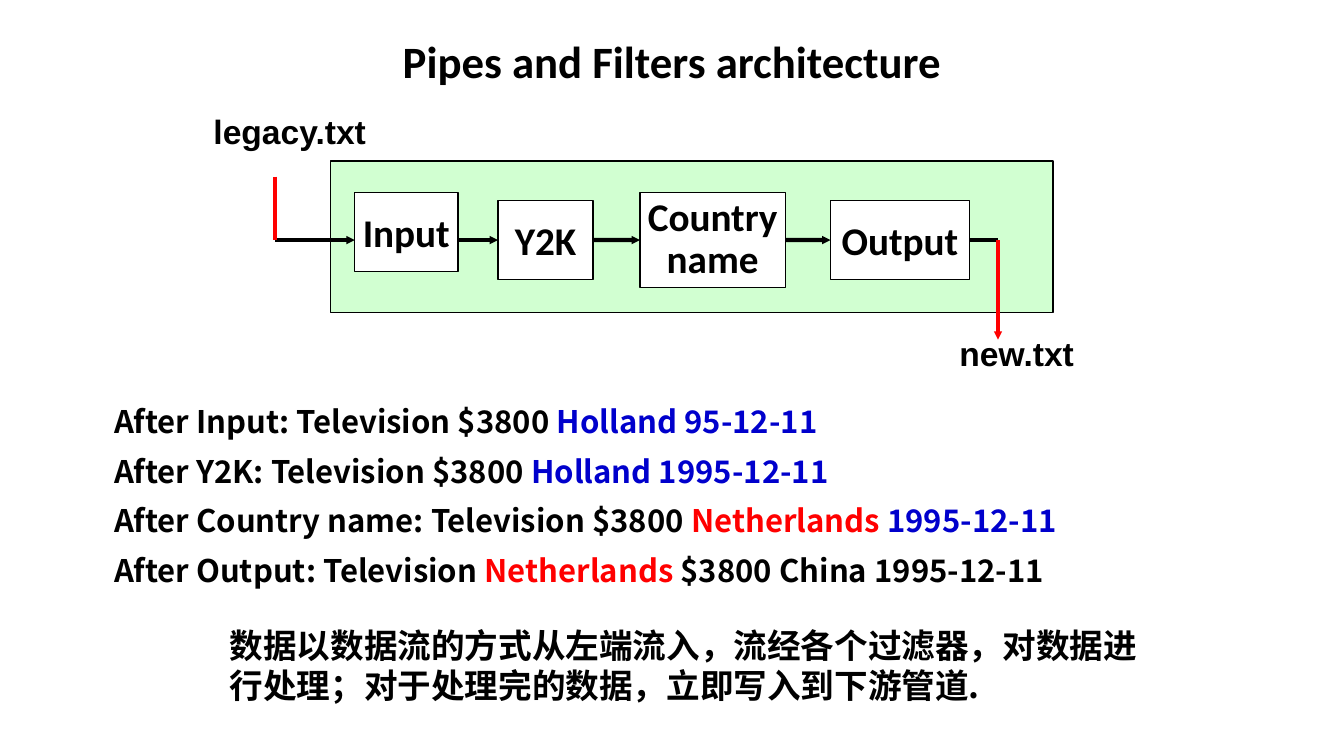
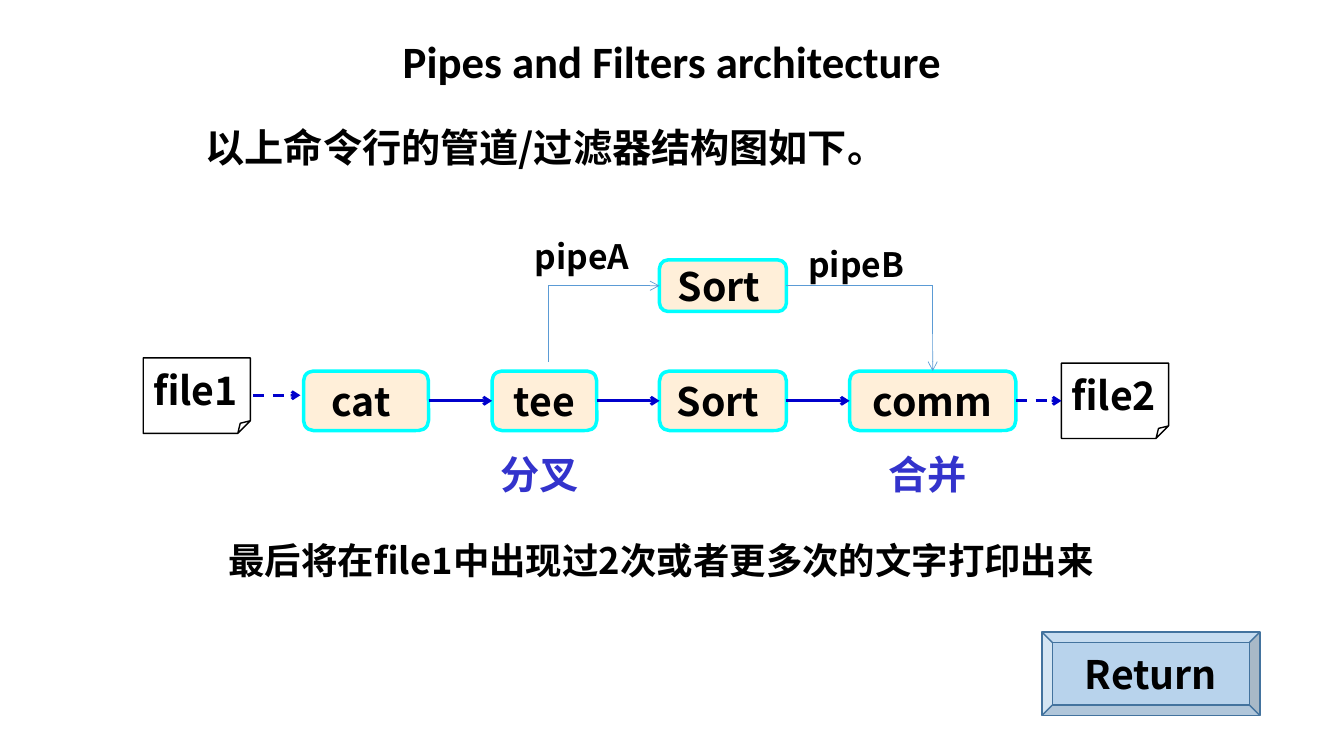
from lxml import etree
from pptx import Presentation
from pptx.dml.color import RGBColor
from pptx.enum.dml import MSO_LINE
from pptx.enum.shapes import MSO_CONNECTOR, MSO_SHAPE
from pptx.enum.text import MSO_ANCHOR, MSO_AUTO_SIZE, PP_ALIGN
from pptx.oxml.ns import qn
from pptx.util import Cm, Pt

RECT, ROUNDED = MSO_SHAPE.RECTANGLE, MSO_SHAPE.ROUNDED_RECTANGLE
FOLDED, BEVEL = MSO_SHAPE.FOLDED_CORNER, MSO_SHAPE.BEVEL
TOP, MIDDLE = MSO_ANCHOR.TOP, MSO_ANCHOR.MIDDLE
LEFT, CENTER = PP_ALIGN.LEFT, PP_ALIGN.CENTER
SIDE_TOP, SIDE_LEFT, SIDE_RIGHT = 0, 1, 3

BLACK, WHITE, RED, BLUE = "000000", "FFFFFF", "FF0000", "0000CC"
GREEN, ORANGE, CYAN = "00FF00", "FF9900", "00FFFF"
INDIGO, PIPE_BLUE, EDGE_BLUE = "3333CC", "5B9BD5", "43739E"
CJK, LATIN, LABEL = "Noto Sans CJK SC", "Calibri", "Arial"


def style(shape, text, size, font=CJK, color=BLACK, align=LEFT, anchor=TOP,
          wrap=True, spacing=1.0, before=0, hang=None,
          fill=None, opacity=100, line=None, width=1):
    """Fill a shape with bold text; text None formats the runs already there."""
    frame = shape.text_frame
    if text is not None:
        frame.text = text
    frame.auto_size = MSO_AUTO_SIZE.NONE
    frame.word_wrap, frame.vertical_anchor = wrap, anchor
    for number, paragraph in enumerate(frame.paragraphs):
        if hang is not None:
            properties = paragraph._p.get_or_add_pPr()
            properties.set("marL", str(Cm(hang)))
            properties.set("indent", str(-Cm(hang)))
            etree.SubElement(properties, qn("a:buNone"))
        paragraph.alignment = align
        paragraph.line_spacing = spacing
        paragraph.space_before = Pt(before if number else 0)
        for run in paragraph.runs:
            run.font.size, run.font.bold, run.font.name = Pt(size), True, font
            run.font.color.rgb = RGBColor.from_string(color)
            latin = run._r.rPr.find(qn("a:latin"))
            latin.addnext(latin.makeelement(qn("a:ea"), {"typeface": CJK}))
    if line:
        shape.shadow.inherit = False
        shape.line.color.rgb = RGBColor.from_string(line)
        shape.line.width = Pt(width)
        if fill:
            shape.fill.solid()
            shape.fill.fore_color.rgb = RGBColor.from_string(fill)
            if opacity < 100:
                fill_color = shape._element.spPr.find(qn("a:solidFill"))[0]
                etree.SubElement(fill_color, qn("a:alpha"), val=str(opacity * 1000))
        else:
            shape.fill.background()


def link(slide, start, end, color, width, head=None, dashed=False, joins=()):
    """Draw a line between two points; joins holds (is_start, shape, side)."""
    line = slide.shapes.add_connector(
        MSO_CONNECTOR.STRAIGHT, *[Cm(value) for value in (*start, *end)])
    for is_start, shape, side in joins:
        (line.begin_connect if is_start else line.end_connect)(shape, side)
    line.line.color.rgb = RGBColor.from_string(color)
    line.line.width = Pt(width)
    if dashed:
        line.line.dash_style = MSO_LINE.DASH
    if head:
        head_size = "sm" if head == "triangle" else "med"
        etree.SubElement(line.line._get_or_add_ln(), qn("a:tailEnd"),
                         type=head, w=head_size, len=head_size)
    etree.SubElement(line._element.spPr, qn("a:effectLst"))


prs = Presentation()
prs.slide_width, prs.slide_height = Cm(33.87), Cm(19.05)

# Both slides: title and body placeholder
slides, bodies = [], []
for body_box in ((2.62, 9.93, 27.3, 5), (4.93, 3.12, 17.88, 1.8)):
    slide = prs.slides.add_slide(prs.slide_layouts[1])
    title, body = slide.shapes.title, slide.placeholders[1]
    for holder, box in ((title, (5.51, 0.72, 22.86, 1.4)), (body, body_box)):
        holder.left, holder.top, holder.width, holder.height = map(Cm, box)
    style(title, "Pipes and Filters architecture", 32, LATIN, align=CENTER)
    slides.append(slide)
    bodies.append(body)
example, command = slides

# Slide 1: the record after each filter
records = [
    [("After Input: Television $3800 ", BLACK), ("Holland 95-12-11", BLUE)],
    [("After Y2K: Television $3800 ", BLACK), ("Holland 1995-12-11", BLUE)],
    [("After Country name: Television $3800 ", BLACK), ("Netherlands ", RED),
     ("1995-12-11", BLUE)],
    [("After Output: Television ", BLACK), ("Netherlands ", RED),
     ("$3800 China 1995-12-11", BLACK)],
]
record_frame = bodies[0].text_frame
record_frame.text = "\n".join("" for _ in records)
for paragraph, record in zip(record_frame.paragraphs, records):
    for words, _ in record:
        paragraph.add_run().text = words
style(bodies[0], None, 22.2, spacing=1.1, before=6, hang=0.64)
for paragraph, record in zip(record_frame.paragraphs, records):
    for run, (_, color) in zip(paragraph.runs, record):
        run.font.color.rgb = RGBColor.from_string(color)

for words, box, size, font in (
    ("legacy.txt", (5.13, 2.67, 4.8, 1.27), 24, LABEL),
    ("new.txt", (23.93, 8.26, 3.61, 1.27), 24, LABEL),
    ("数据以数据流的方式从左端流入，流经各个过滤器，对数据进行处理；"
     "对于处理完的数据，立即写入到下游管道.", (5.54, 15.62, 23.39, 2.31), 24, CJK),
):
    style(example.shapes.add_textbox(*map(Cm, box)), words, size, font)

# Slide 1: pipeline
system = example.shapes.add_shape(RECT, *map(Cm, (8.33, 4.06, 18.21, 3.81)))
style(system, "", 28, fill=GREEN, opacity=18, line=BLACK)
filters = []
for words, box, spacing in (
    ("Input", (8.94, 4.85, 2.6, 2), 1),
    ("Y2K", (12.55, 5.05, 2.4, 2), 1),
    ("Country\nname", (16.13, 4.85, 3.66, 2.4), 0.9),
    ("Output", (20.93, 5.05, 3.5, 2), 1),
):
    stage = example.shapes.add_shape(RECT, *map(Cm, box))
    style(stage, words, 28, LATIN, align=CENTER, anchor=MIDDLE, wrap=False,
          spacing=spacing, fill=WHITE, line=BLACK)
    filters.append(stage)
_, y2k, country, output = filters

FLOW_Y, INLET_X, OUTLET_X = 6.05, 6.93, 25.15
for start, end, color, width, head, joins in (
    ((INLET_X, FLOW_Y), (8.94, FLOW_Y), BLACK, 3, "triangle", ()),
    ((11.54, FLOW_Y), (12.55, FLOW_Y), BLACK, 3, "triangle", [(False, y2k, SIDE_LEFT)]),
    ((14.95, FLOW_Y), (16.13, FLOW_Y), BLACK, 3, "triangle",
     [(True, y2k, SIDE_RIGHT), (False, country, SIDE_LEFT)]),
    ((19.79, FLOW_Y), (20.93, FLOW_Y), BLACK, 3, "triangle",
     [(True, country, SIDE_RIGHT), (False, output, SIDE_LEFT)]),
    ((24.43, FLOW_Y), (OUTLET_X, FLOW_Y), BLACK, 3, None, [(True, output, SIDE_RIGHT)]),
    ((INLET_X, 4.45), (INLET_X, FLOW_Y), RED, 3.5, None, ()),
    ((OUTLET_X, FLOW_Y), (OUTLET_X, 8.56), RED, 3, "triangle", ()),
):
    link(example, start, end, color, width, head, joins=joins)

# Slide 2: texts
style(bodies[1], "以上命令行的管道/过滤器结构图如下。", 28, spacing=0.9, hang=0.64)
for words, box, size, color, align, hang in (
    ("分叉", (11.89, 11.23, 3.4, 1.45), 28, INDIGO, CENTER, None),
    ("合并", (21.67, 11.23, 3.4, 1.45), 28, INDIGO, CENTER, None),
    ("pipeA", (13.23, 5.82, 3.3, 1.27), 24, BLACK, LEFT, None),
    ("pipeB", (20.12, 6.02, 3.38, 1.27), 24, BLACK, LEFT, None),
    ("最后将在file1中出现过2次或者更多次的文字打印出来",
     (5.51, 13.44, 22.48, 2.4), 26, BLACK, LEFT, 1.7),
):
    style(command.shapes.add_textbox(*map(Cm, box)), words, size,
          color=color, align=align, hang=hang)

# Slide 2: commands, files and button
NODE_TOP, NODE_HEIGHT = 9.35, 1.5
commands = []
for words, left, top, width, height, right_inset in (
    ("cat", 7.65, NODE_TOP, 3.15, NODE_HEIGHT, 0.25),
    ("tee", 12.4, NODE_TOP, 2.64, NODE_HEIGHT, 0),
    ("Sort", 16.62, NODE_TOP, 3.2, NODE_HEIGHT, 0.25),
    ("comm", 21.41, NODE_TOP, 4.19, NODE_HEIGHT, 0),
    ("Sort", 16.62, 6.55, 3.2, 1.3, 0.2),
):
    node = command.shapes.add_shape(ROUNDED, Cm(left), Cm(top), Cm(width), Cm(height))
    style(node, words, 28, align=CENTER, anchor=MIDDLE, wrap=False,
          fill=ORANGE, opacity=15, line=CYAN, width=2.5)
    frame = node.text_frame
    frame.margin_left = frame.margin_top = frame.margin_bottom = 0
    frame.margin_right = Cm(right_inset)
    commands.append(node)
cat, tee, sort, comm, branch_sort = commands

files = []
for words, left, top in (("file1", 3.61, 9.02), ("file2", 26.75, 9.15)):
    sheet = command.shapes.add_shape(FOLDED, Cm(left), Cm(top), Cm(2.7), Cm(1.9))
    style(sheet, words, 28, wrap=False, line=BLACK)
    sheet.text_frame.margin_top = Cm(0.2)
    files.append(sheet)

button = command.shapes.add_shape(BEVEL, *map(Cm, (26.26, 15.93, 5.49, 2.1)))
style(button, "Return", 28, align=CENTER, anchor=MIDDLE,
      fill=PIPE_BLUE, opacity=43, line=EDGE_BLUE)

# Slide 2: main flow, then the branch through pipeA and pipeB
link(command, (6.38, 9.96), (7.57, 9.96), BLUE, 2, "arrow", dashed=True)
chain = [cat, tee, sort, comm, files[1]]
for source, target in zip(chain, chain[1:]):
    link(command, (0, 0), (0, 0), BLUE, 2, "arrow", dashed=target is files[1],
         joins=[(True, source, SIDE_RIGHT), (False, target, SIDE_LEFT)])

FORK_X, MERGE_X, BRANCH_Y = 13.82, 23.5, 7.2
for start, end, head, joins in (
    ((FORK_X, 9.12), (FORK_X, BRANCH_Y), None, ()),
    ((FORK_X, BRANCH_Y), (16.62, BRANCH_Y), "arrow", [(False, branch_sort, SIDE_LEFT)]),
    ((19.82, BRANCH_Y), (MERGE_X, BRANCH_Y), None, [(True, branch_sort, SIDE_RIGHT)]),
    ((MERGE_X, BRANCH_Y), (MERGE_X, NODE_TOP), "arrow", [(False, comm, SIDE_TOP)]),
):
    link(command, start, end, PIPE_BLUE, 0.5, head, joins=joins)

prs.save("out.pptx")
